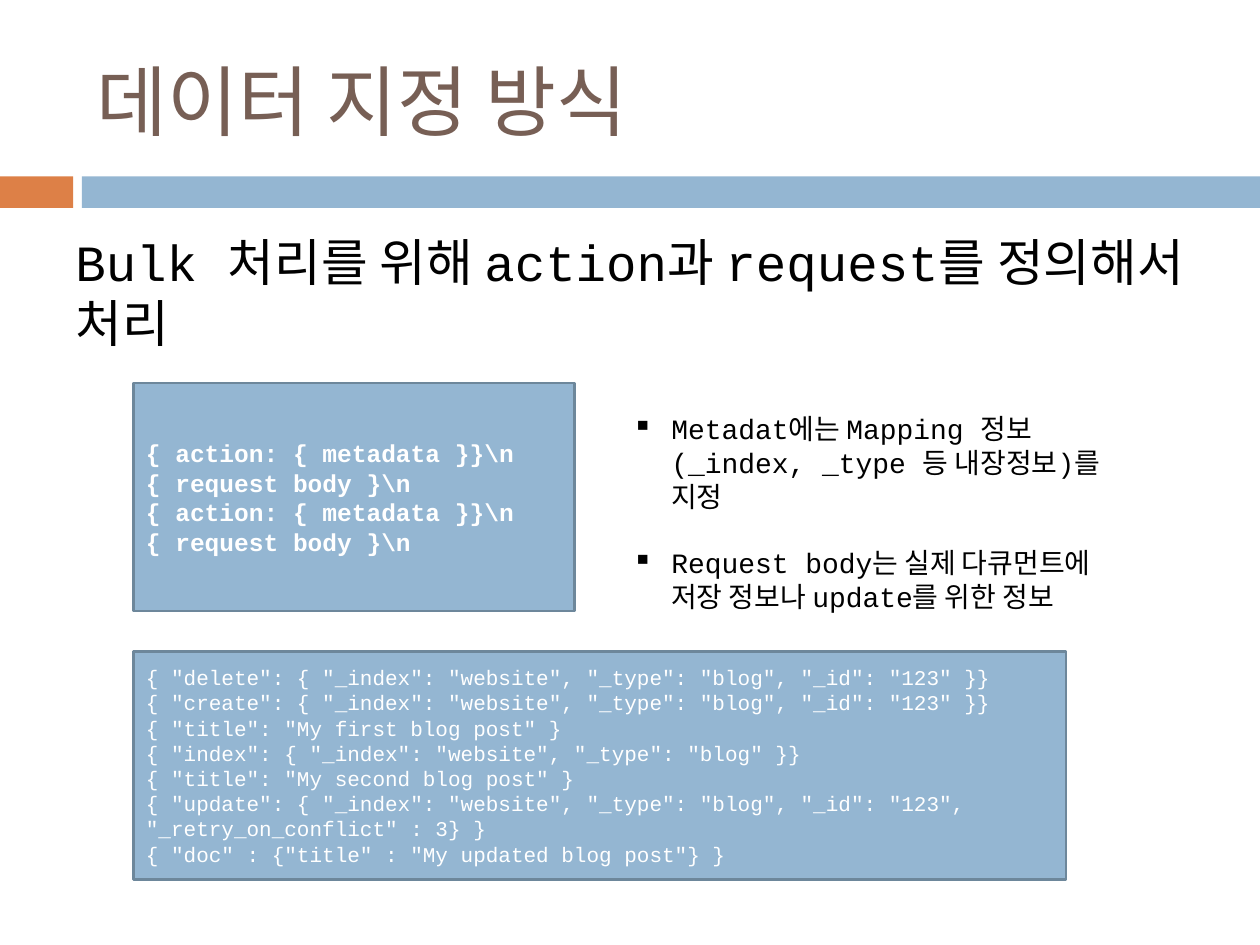
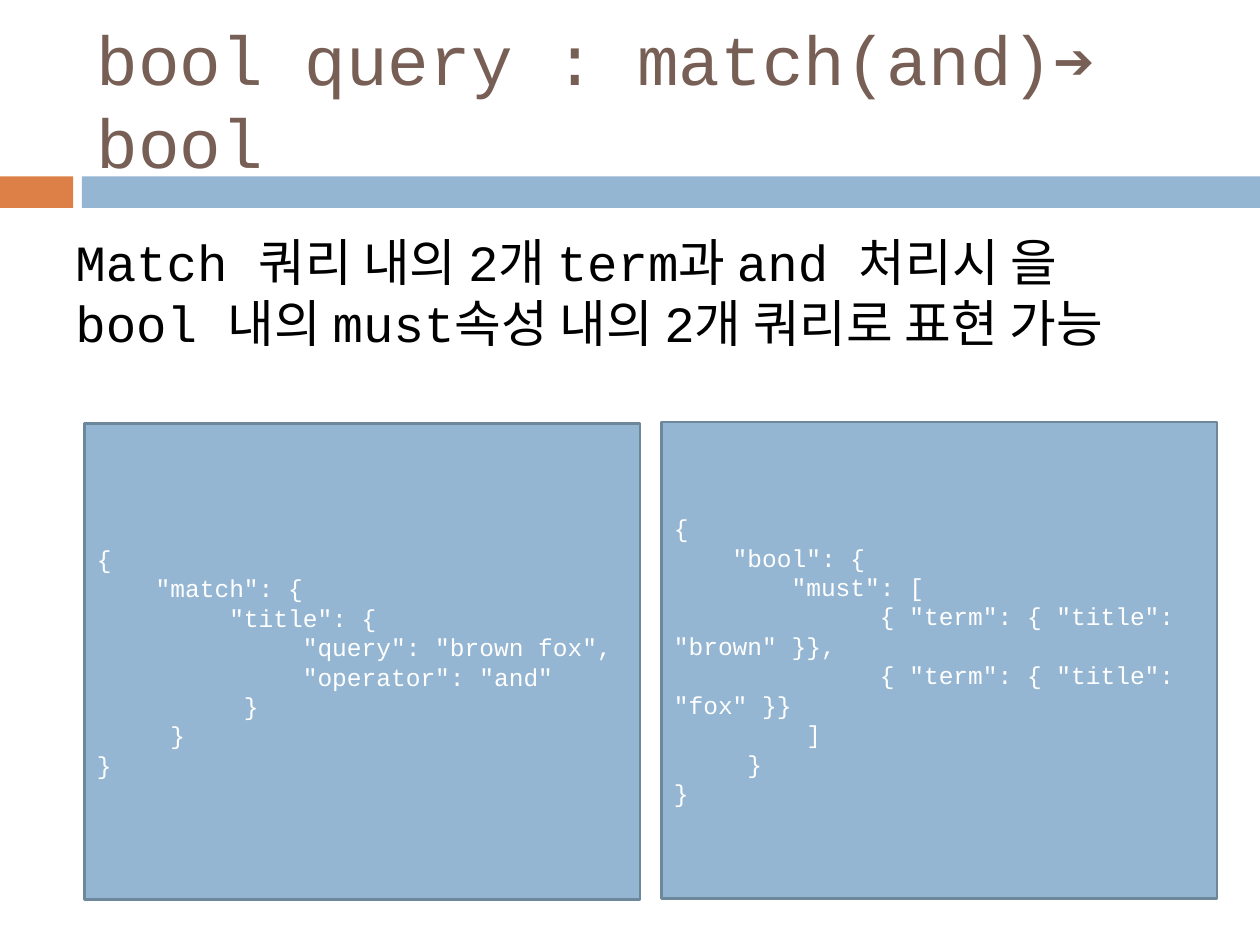
"""Build two slides about bulk data and bool queries."""
from lxml import etree
from pptx import Presentation
from pptx import util as u
from pptx.dml.color import RGBColor
from pptx.enum import shapes, text
from pptx.oxml import ns

COLORS = {"accent": "DD8047", "panel": "94B6D2", "border": "6D879B",
          "title": "775F55", "body": "000000", "code": "FFFFFF"}
FONT = "Courier New"

BULK_FORMAT = r"""{ action: { metadata }}\n
{ request body }\n
{ action: { metadata }}\n
{ request body }\n"""

BULK_EXAMPLE = """{ "delete": { "_index": "website", "_type": "blog", "_id": "123" }}
{ "create": { "_index": "website", "_type": "blog", "_id": "123" }}
{ "title": "My first blog post" }
{ "index": { "_index": "website", "_type": "blog" }}
{ "title": "My second blog post" }
{ "update": { "_index": "website", "_type": "blog", "_id": "123", "_retry_on_conflict" : 3} }
{ "doc" : {"title" : "My updated blog post"} }"""

MATCH_QUERY = """{
    "match": {
         "title": {
              "query": "brown fox",
              "operator": "and"
          }
     }
}"""

BOOL_QUERY = """{
    "bool": {
        "must": [
              { "term": { "title": "brown" }},
              { "term": { "title": "fox" }}
         ]
     }
}"""


def rgb(name):
    return RGBColor.from_string(COLORS[name])


def write_text(frame, content, size, color="body", bold=False, bullet=None,
               gap=0, anchor=text.MSO_ANCHOR.TOP):
    frame.word_wrap = True
    frame.vertical_anchor = anchor
    for index, line in enumerate(content.split("\n")):
        paragraph = frame.add_paragraph() if index else frame.paragraphs[0]
        paragraph.alignment = text.PP_ALIGN.LEFT
        if index and gap:
            paragraph.space_before = u.Pt(gap)
        if bullet:
            properties = paragraph._p.get_or_add_pPr()
            properties.set("marL", str(u.Inches(0.31)))
            properties.set("indent", str(-u.Inches(0.31)))
            etree.SubElement(properties, ns.qn("a:buChar"), char=bullet)
        run = paragraph.add_run()
        run.text = line
        run.font.name = FONT
        run.font.size = u.Pt(size)
        run.font.bold = bold
        run.font.color.rgb = rgb(color)


class Deck:
    """Hold the shared style and the current slide."""

    def __init__(self):
        self.presentation = Presentation()
        self.presentation.slide_width = u.Inches(10)
        self.presentation.slide_height = u.Inches(7.5)
        self.slide = None

    def start_slide(self, title, summary, title_size=44):
        layout = self.presentation.slide_layouts[6]
        self.slide = self.presentation.slides.add_slide(layout)
        self.rectangle(0, 1.4, 0.58, 0.25, "accent")
        self.rectangle(0.65, 1.4, 9.35, 0.25, "panel")
        self.text_box(0.67, 0.25, 8.92, 1.08, title, size=title_size,
                      color="title", anchor=text.MSO_ANCHOR.MIDDLE)
        self.text_box(0.5, 1.78, 9, 1.02, summary, size=29)

    def rectangle(self, left, top, width, height, fill):
        shape = self.slide.shapes.add_shape(
            shapes.MSO_SHAPE.RECTANGLE,
            *map(u.Inches, (left, top, width, height)))
        shape.shadow.inherit = False
        shape.fill.solid()
        shape.fill.fore_color.rgb = rgb(fill)
        shape.line.fill.background()
        return shape

    def text_box(self, left, top, width, height, content, **style):
        shape = self.slide.shapes.add_textbox(
            *map(u.Inches, (left, top, width, height)))
        write_text(shape.text_frame, content, **style)
        return shape

    def bullets(self, left, top, width, height, content):
        shape = self.text_box(left, top, width, height, content,
                              size=16, bullet="▪", gap=19)
        shape.text_frame.auto_size = text.MSO_AUTO_SIZE.SHAPE_TO_FIT_TEXT

    def code_panel(self, left, top, width, height, code, size=14, bold=False):
        shape = self.rectangle(left, top, width, height, "panel")
        shape.line.color.rgb = rgb("border")
        shape.line.width = u.Pt(1.5)
        write_text(shape.text_frame, code, size=size, color="code", bold=bold,
                   anchor=text.MSO_ANCHOR.MIDDLE)


def main():
    deck = Deck()

    deck.start_slide("데이터 지정 방식",
                     "Bulk 처리를 위해 action과 request를 정의해서 처리")
    deck.code_panel(1.06, 3.04, 3.5, 1.81, BULK_FORMAT, bold=True)
    deck.bullets(4.92, 3.22, 4.09, 1.45,
                 "Metadat에는 Mapping 정보(_index, _type 등 내장정보)를 지정\n"
                 "Request body는 실제 다큐먼트에 저장 정보나 update를 위한 정보")
    deck.code_panel(1.06, 5.17, 7.4, 1.81, BULK_EXAMPLE, size=12)

    deck.start_slide("bool query : match(and)➔ bool",
                     "Match 쿼리 내의 2개 term과 and 처리시 을 "
                     "bool 내의 must속성 내의 2개 쿼리로 표현 가능",
                     title_size=39.6)
    deck.code_panel(0.67, 3.36, 4.41, 3.78, MATCH_QUERY)
    deck.code_panel(5.25, 3.35, 4.41, 3.78, BOOL_QUERY)

    deck.presentation.save("out.pptx")


if __name__ == "__main__":
    main()
